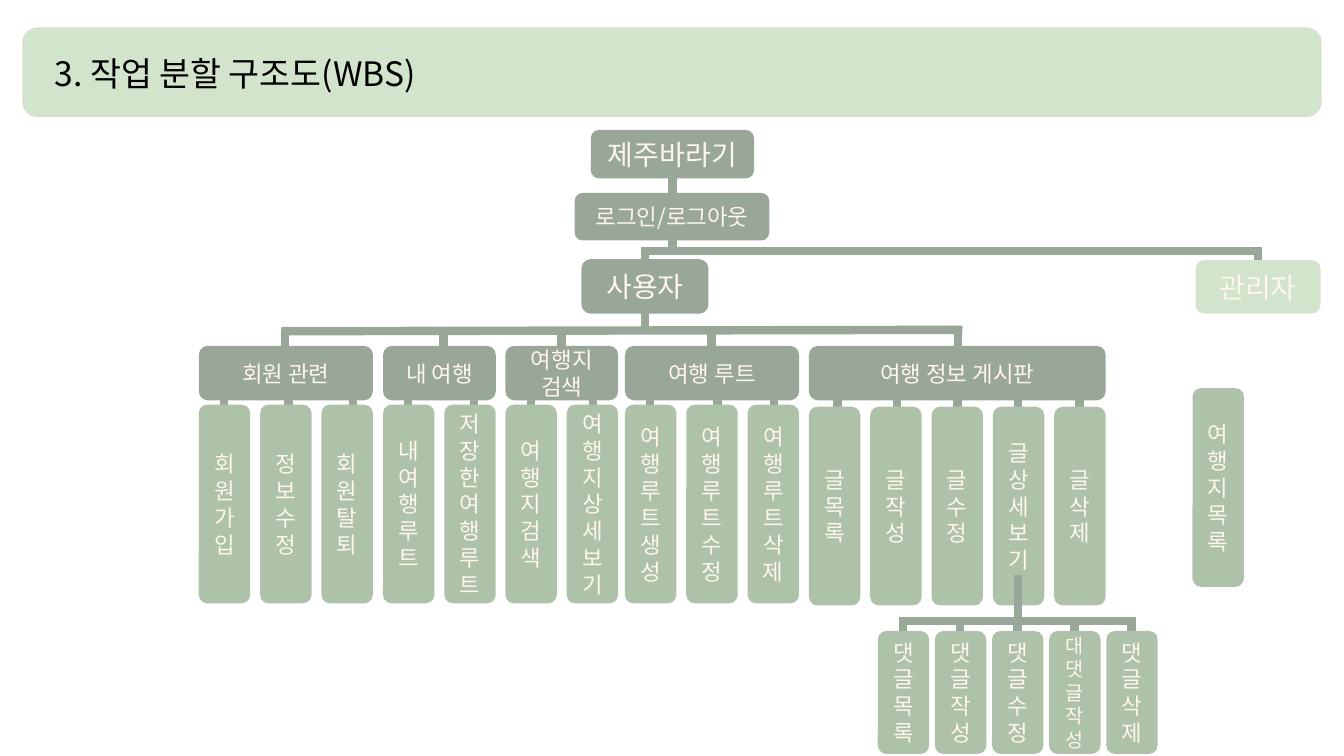
from dataclasses import dataclass

from lxml import etree
from pptx import Presentation
from pptx.dml.color import RGBColor
from pptx.enum import shapes as sh, text as tx
from pptx.oxml import ns
from pptx.util import Pt


@dataclass(frozen=True)
class Theme:
    """Colours, type sizes and shared measures of the slide."""
    font: str = "Noto Sans CJK KR"
    dark: str = "99A799"
    mid: str = "ADC2A9"
    pale: str = "D3E4CD"
    cream: str = "FEF5ED"
    black: str = "000000"
    head: int = 24
    big: int = 20
    base: int = 16
    small: int = 14
    lead: float = 1.2
    rule: int = 6
    leaf: float = 36.7


T = Theme()

GROUPS = [
    ("회원 관련", 142, 289, 203.8, (160, 206, 252),
     ("회원가입", "정보 수정", "회원탈퇴")),
    ("내 여행", 273.6, 289, 316.8, (291.6, 338.4),
     ("내 여행루트", "저장한여행루트")),
    ("여행지 검색", 361, 289, 401, (379.4, 423.4),
     ("여행지검색", "여행지상세보기")),
    ("여행 루트", 446.4, 289, 508.3, (464.4, 512.6, 553),
     ("여행루트생성", "여행루트수정", "여행루트삭제")),
    ("여행 정보 게시판", 577.8, 290.5, 684.5, (598.3, 640.8, 684, 727.2, 771.1),
     ("글목록", "글작성", "글수정", "글 상세보기", "글삭제")),
]
NOTES = ("댓글목록", "댓글 작성", "댓글 수정", "대댓글작성", "댓글삭제")


def write(frame, words, size, tint):
    """Put one styled paragraph in a text frame."""
    frame.text = words
    para = frame.paragraphs[0]
    para.line_spacing = Pt(size * T.lead)
    font = para.runs[0].font
    font.name, font.size = T.font, Pt(size)
    font.color.rgb = RGBColor.from_string(tint)
    east = etree.SubElement(font._element, ns.qn("a:ea"))
    east.set("typeface", T.font)
    return para


def card(slide, box, fill, words="", size=T.base):
    """Draw a rounded box with optional centred words."""
    shape = slide.shapes.add_shape(
        sh.MSO_SHAPE.ROUNDED_RECTANGLE, *map(Pt, box))
    shape.shadow.inherit = False
    shape.fill.solid()
    shape.fill.fore_color.rgb = RGBColor.from_string(fill)
    shape.line.fill.background()
    if words:
        frame = shape.text_frame
        frame.word_wrap = True
        frame.vertical_anchor = tx.MSO_ANCHOR.MIDDLE
        para = write(frame, words, size, T.cream)
        para.alignment = tx.PP_ALIGN.CENTER


def link(slide, *ends):
    """Draw a thick line from x1, y1 to x2, y2."""
    line = slide.shapes.add_connector(
        sh.MSO_CONNECTOR.STRAIGHT, *map(Pt, ends))
    line.line.color.rgb = RGBColor.from_string(T.dark)
    line.line.width = Pt(T.rule)
    etree.SubElement(line._element.spPr, ns.qn("a:effectLst"))


def banner(slide, box, words):
    """Draw the title band."""
    left, top, wide, high = box
    card(slide, box, T.pale)
    area = slide.shapes.add_textbox(
        Pt(left + 16), Pt(top + 14.4), Pt(292), Pt(36))
    area.text_frame.word_wrap = False
    write(area.text_frame, words, T.head, T.black)


def trunk(slide, box):
    """Draw the upper levels of the tree."""
    left, top, wide, high = box
    user, root, admin, bar = left + 46.8, left + 66.3, left + 484.6, top + 86.4
    link(slide, user, bar - 3, user, top + 144)
    link(slide, admin, bar - 3, admin, top + 130)
    link(slide, root, top + 5, root, bar)
    link(slide, admin, bar, user, bar)
    card(slide, (left + 8, top, 116.6, 34.6), T.dark, "제주바라기", T.big)
    card(slide, (left - 3.5, top + 45, 139, 34), T.dark, "로그인/로그아웃")
    card(slide, (left + 1.4, top + 92.4, 90.7, 38.9), T.dark, "사용자", T.big)
    card(slide, (left + 440, top + 93, 89.3, 38.2), T.pale, "관리자", T.big)


def leaves(slide, box, names, step):
    """Draw a row of tall narrow boxes."""
    left, top, wide, high = box
    for i, name in enumerate(names):
        size = T.small if name == "대댓글작성" else T.base
        card(slide, (left + i * step, top, wide, high), T.mid, name, size)


def branch(slide, box, group):
    """Draw one feature group with its links and leaves."""
    left, top, wide, high = box
    name, _, row, stem, stubs, names = group
    link(slide, stem, top - 11, stem, top + 20)
    for x in stubs:
        link(slide, x, top + 20, x, row + 40)
    card(slide, box, T.dark, name)
    leaves(slide, (left, row, T.leaf, 142), names, 43.8)


def replies(slide, box):
    """Draw the row of comment features."""
    left, top, wide, high = box
    step = 40.8
    first = left + 18
    last = first + step * (len(NOTES) - 1)
    link(slide, 727.2, top - 40, 727.2, top)
    link(slide, first - 3, top - 7.2, last + 3, top - 7.2)
    for i in range(len(NOTES)):
        x = first + i * step
        link(slide, x, top - 10, x, top + 40)
    leaves(slide, (left, top, T.leaf, high), NOTES, step)


def main():
    """Build and save the slide."""
    deck = Presentation()
    deck.slide_width, deck.slide_height = Pt(960), Pt(540)
    slide = deck.slides.add_slide(deck.slide_layouts[6])
    banner(slide, (16, 19.6, 928, 64), "3. 작업 분할 구조도(WBS)")
    trunk(slide, (414, 92.8, 530, 131))
    link(slide, 201, 236.6, 687.5, 235.6)
    for group in GROUPS:
        wide = 43.8 * len(group[-1]) - 7
        branch(slide, (group[1], 247, wide, 39), group)
    replies(slide, (627, 450.7, 200, 87.8))
    leaves(slide, (851.8, 277.2, T.leaf, 142), ["여행지목록"], 0)
    deck.save("out.pptx")


if __name__ == "__main__":
    main()
